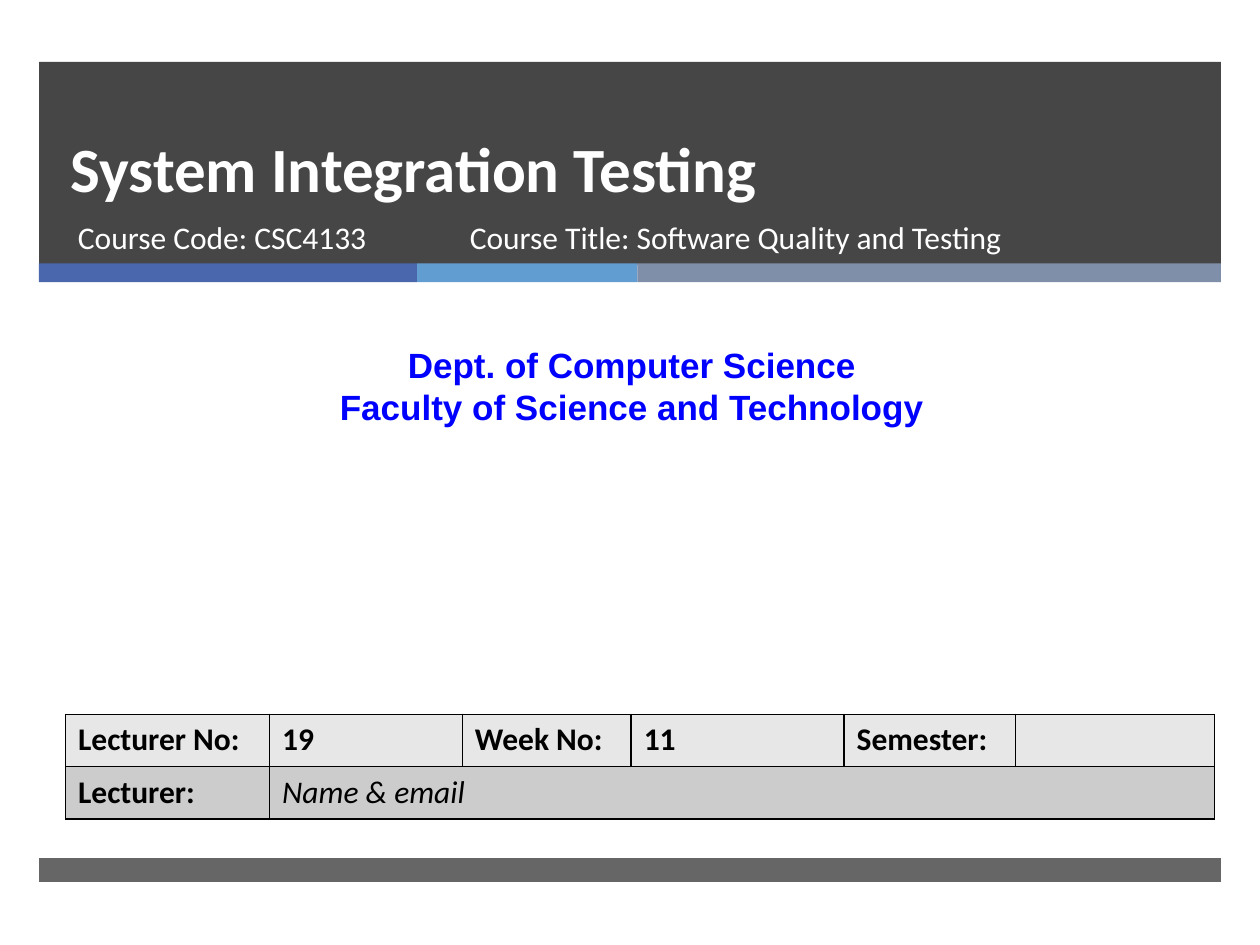
from lxml import etree
from pptx import Presentation
from pptx.dml.color import RGBColor
from pptx.enum import shapes, text
from pptx.oxml import ns
from pptx.util import Inches, Pt

WHITE = RGBColor(0xFF, 0xFF, 0xFF)
BLACK = RGBColor(0, 0, 0)
BLUE = RGBColor(0, 0, 0xFF)
DARK = RGBColor(0x26, 0x26, 0x26)
LEFT, WIDE = 0.31, 9.38

# top, height, opacity in percent
BANDS = [(0.49, 1.61, 85), (6.81, 0.19, 70)]
# width, colour
STRIPES = [
    (3, RGBColor(0x4A, 0x66, 0xAC)),
    (1.75, RGBColor(0x62, 0x9D, 0xD1)),
    (4.63, RGBColor(0x7F, 0x8F, 0xA9)),
]
# lines, box, format
TEXTS = [
    (["System Integration Testing"], (0.46, 0.87, 8.54, 0.81),
     dict(size=36, bold=True, space=Pt(46), anchor=text.MSO_ANCHOR.BOTTOM)),
    (["Course Code: CSC4133"], (0.52, 1.68, 3.05, 0.53), {}),
    (["Course Title: Software Quality and Testing"],
     (3.63, 1.68, 4.55, 0.53), {}),
    (["Dept. of Computer Science", "Faculty of Science and Technology"],
     (0.08, 2.68, 9.87, 0.77),
     dict(size=20, bold=True, color=BLUE, face="Arial",
          align=text.PP_ALIGN.CENTER)),
]
ROWS = [
    ["Lecturer No:", "19", "Week No:", "11", "Semester:", ""],
    ["Lecturer:", "Name & email", "", "", "", ""],
]
FILLS = [RGBColor(0xE7, 0xE7, 0xE7), RGBColor(0xCC, 0xCC, 0xCC)]
COLS = [1.62, 1.53, 1.34, 1.69, 1.36, 1.58]
TALL = 0.415


def write(frame, lines, size=18, color=WHITE, face="Calibri", bold=False,
          italic=False, align=text.PP_ALIGN.LEFT, space=None,
          anchor=text.MSO_ANCHOR.TOP):
    frame.word_wrap = True
    frame.vertical_anchor = anchor
    for i, line in enumerate(lines):
        para = frame.add_paragraph() if i else frame.paragraphs[0]
        para.text = line
        para.alignment = align
        if space:
            para.line_spacing = space
        font = para.font
        font.size, font.name = Pt(size), face
        font.bold, font.italic = bold, italic
        font.color.rgb = color


def block(slide, box, color, alpha=100):
    rect = slide.shapes.add_shape(shapes.MSO_SHAPE.RECTANGLE,
                                  *map(Inches, box))
    rect.shadow.inherit = False
    rect.fill.solid()
    rect.fill.fore_color.rgb = color
    rect.line.fill.background()
    if alpha < 100:
        tint = rect.fill._xPr.find(".//" + ns.qn("a:srgbClr"))
        etree.SubElement(tint, ns.qn("a:alpha"), val=str(alpha * 1000))


def border(cell):
    props = cell._tc.get_or_add_tcPr()
    for side in "LRTB":
        line = etree.SubElement(props, ns.qn("a:ln" + side), w=str(Pt(1)))
        fill = etree.SubElement(line, ns.qn("a:solidFill"))
        etree.SubElement(fill, ns.qn("a:srgbClr"), val=str(BLACK))


def details(slide):
    """Add the lecture table."""
    table = slide.shapes.add_table(
        len(ROWS), len(COLS), Inches(0.52), Inches(5.67),
        Inches(sum(COLS)), Inches(TALL * len(ROWS))).table
    for col, width in zip(table.columns, COLS):
        col.width = Inches(width)
    for r, (row, fill) in enumerate(zip(ROWS, FILLS)):
        table.rows[r].height = Inches(TALL)
        for c, label in enumerate(row):
            cell = table.cell(r, c)
            note = (r, c) == (1, 1)
            write(cell.text_frame, [label], color=BLACK,
                  bold=not note, italic=note)
            border(cell)
            cell.fill.solid()
            cell.fill.fore_color.rgb = fill
    table.cell(1, 1).merge(table.cell(1, len(COLS) - 1))


def main():
    deck = Presentation()
    deck.slide_width, deck.slide_height = Inches(10), Inches(7.5)
    slide = deck.slides.add_slide(deck.slide_layouts[6])
    for top, height, alpha in BANDS:
        block(slide, (LEFT, top, WIDE, height), DARK, alpha)
    left = LEFT
    for width, color in STRIPES:
        block(slide, (left, 2.09, width, 0.15), color)
        left += width
    for lines, box, style in TEXTS:
        area = slide.shapes.add_textbox(*map(Inches, box))
        write(area.text_frame, lines, **style)
    details(slide)
    deck.save("out.pptx")


if __name__ == "__main__":
    main()
